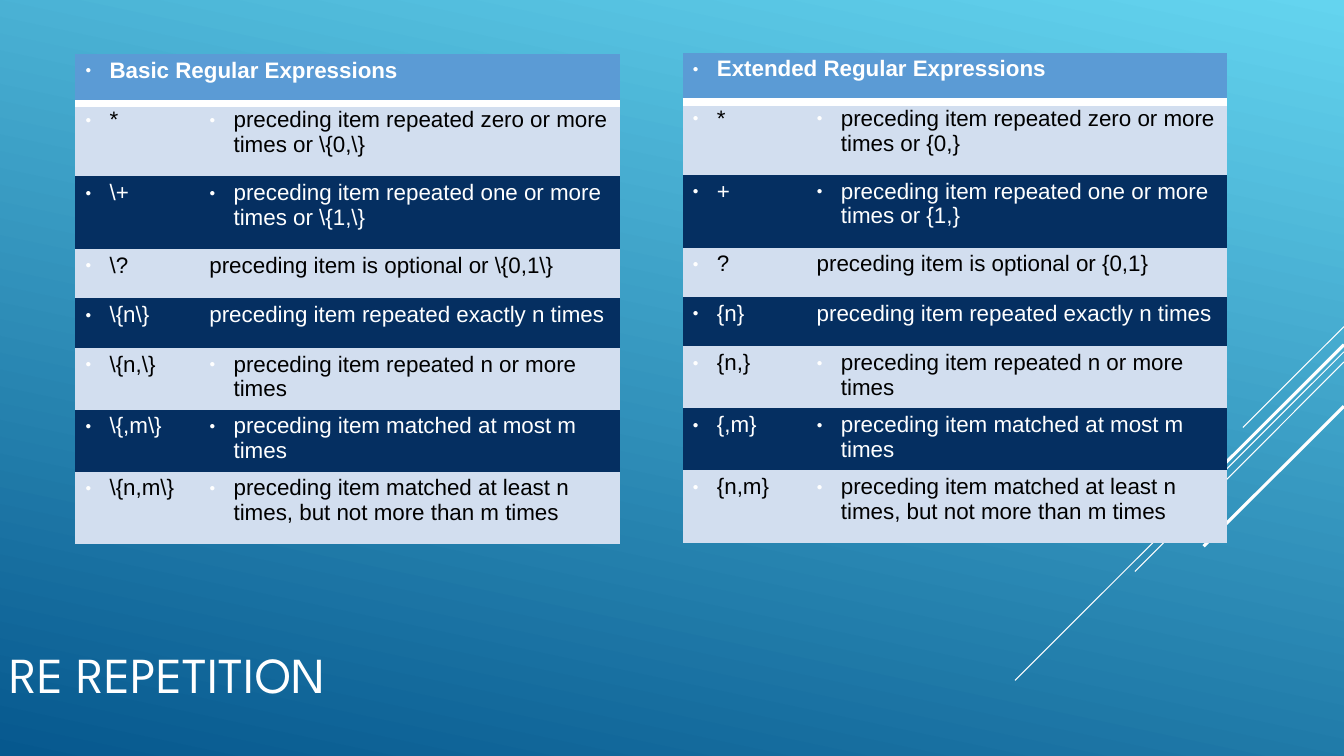
from lxml import etree
from pptx import Presentation
from pptx.dml.color import RGBColor
from pptx.enum.shapes import MSO_CONNECTOR
from pptx.enum.text import MSO_ANCHOR
from pptx.oxml import parse_xml
from pptx.oxml.ns import nsdecls, qn
from pptx.util import Pt

STRAIGHT = MSO_CONNECTOR.STRAIGHT
MIDDLE = MSO_ANCHOR.MIDDLE

WHITE = RGBColor(0xFF, 0xFF, 0xFF)
BLACK = RGBColor(0x00, 0x00, 0x00)
SKY = RGBColor(0x64, 0xD4, 0xEF)
DEEP = RGBColor(0x06, 0x58, 0x8E)
HEADER = RGBColor(0x5B, 0x9B, 0xD5)
PALE = RGBColor(0xD2, 0xDE, 0xEF)
NAVY = RGBColor(0x05, 0x2F, 0x61)

NO_STYLE = "{2D5ABB26-0587-4C30-8999-92F81FD0307C}"
WIDTH, HEIGHT = 960, 540
COLUMNS = (88.6, 300.2)
SHORT, TALL = 35.3, 52
ROW_HEIGHTS = (SHORT, TALL, TALL, SHORT, SHORT, SHORT, SHORT, TALL)

BASIC = [
    (r"*", r"preceding item repeated zero or more times or \{0,\}"),
    (r"\+", r"preceding item repeated one or more times or \{1,\}"),
    (r"\?", r"preceding item is optional or \{0,1\}"),
    (r"\{n\}", "preceding item repeated exactly n times"),
    (r"\{n,\}", "preceding item repeated n or more times"),
    (r"\{,m\}", "preceding item matched at most m times"),
    (r"\{n,m\}", "preceding item matched at least n times, but not more than m times"),
]
# Extended syntax is the basic one without backslashes
EXTENDED = [tuple(text.replace("\\", "") for text in row) for row in BASIC]
UNBULLETED_ROWS = (3, 4)

# (x of the lower end, y of the lower end, y at the right edge, line width)
RAYS = [
    (887.8, 305.3, 233.3, 0.75),
    (725, 486, 251.3, 0.75),
    (810.7, 408.2, 258.5, 0.75),
    (822.2, 383.8, 246.2, 2.25),
    (859.7, 390.2, 290.2, 2.25),
]


def add_bullet(p):
    pPr = p._p.get_or_add_pPr()
    pPr.set("marL", str(Pt(17.3)))
    pPr.set("indent", str(-Pt(17.3)))
    color = etree.SubElement(pPr, qn("a:buClr"))
    etree.SubElement(color, qn("a:srgbClr")).set("val", str(WHITE))
    etree.SubElement(pPr, qn("a:buSzPct")).set("val", "45000")
    etree.SubElement(pPr, qn("a:buFont")).set("typeface", "Arial")
    etree.SubElement(pPr, qn("a:buChar")).set("char", "●")


def write(tf, text, font="Arial", size=16, color=WHITE, bold=False, bullet=False):
    tf.word_wrap = True
    p = tf.paragraphs[0]
    if bullet:
        add_bullet(p)
    r = p.add_run()
    r.text = text
    r.font.name = font
    r.font.size = Pt(size)
    r.font.bold = bold
    r.font.color.rgb = color


class Deck:
    def __init__(self):
        self.prs = Presentation()
        self.prs.slide_width, self.prs.slide_height = Pt(WIDTH), Pt(HEIGHT)
        self.s = self.prs.slides.add_slide(self.prs.slide_layouts[6])

    def background(self, start, end, angle):
        fill = self.s.background.fill
        fill.gradient()
        fill.gradient_angle = angle
        for stop, color in zip(fill.gradient_stops, (start, end)):
            stop.color.rgb = color

    def line(self, x1, y1, x2, y2, width):
        sp = self.s.shapes.add_connector(STRAIGHT, Pt(x1), Pt(y1), Pt(x2), Pt(y2))
        sp.line.color.rgb = WHITE
        sp.line.width = Pt(width)
        etree.SubElement(sp._element.spPr, qn("a:effectLst"))

    def title(self, text, x, y, w, h):
        sp = self.s.shapes.add_textbox(Pt(x), Pt(y), Pt(w), Pt(h))
        write(sp.text_frame, text, font="League Spartan", size=36)
        sp.text_frame.vertical_anchor = MIDDLE

    def cell(self, cell, text, fill, **text_format):
        cell.margin_top = cell.margin_bottom = Pt(2.9)
        cell.fill.solid()
        cell.fill.fore_color.rgb = fill
        write(cell.text_frame, text, **text_format)

    def underline(self, cell, width):
        border = parse_xml(
            f'<a:lnB {nsdecls("a")} w="{Pt(width)}"><a:solidFill>'
            f'<a:srgbClr val="{WHITE}"/></a:solidFill></a:lnB>')
        cell._tc.get_or_add_tcPr().insert(0, border)

    def table(self, heading, rows, x, y):
        frame = self.s.shapes.add_table(
            len(ROW_HEIGHTS), len(COLUMNS), Pt(x), Pt(y),
            Pt(sum(COLUMNS)), Pt(sum(ROW_HEIGHTS)))
        table = frame.table
        table._tbl.tblPr.find(qn("a:tableStyleId")).text = NO_STYLE
        for column, width in zip(table.columns, COLUMNS):
            column.width = Pt(width)
        for row, height in zip(table.rows, ROW_HEIGHTS):
            row.height = Pt(height)

        table.cell(0, 0).merge(table.cell(0, 1))
        self.cell(table.cell(0, 0), heading, HEADER, bold=True, bullet=True)
        for c in range(len(COLUMNS)):
            self.underline(table.cell(0, c), 6)
        for i, row in enumerate(rows, 1):
            fill, color = (PALE, BLACK) if i % 2 else (NAVY, WHITE)
            for c, text in enumerate(row):
                bullet = c == 0 or i not in UNBULLETED_ROWS
                self.cell(table.cell(i, c), text, fill, color=color, bullet=bullet)


def main():
    deck = Deck()
    deck.background(SKY, DEEP, 258)
    for x, y, edge_y, width in RAYS:
        deck.line(WIDTH, edge_y, x, y, width)
    deck.title("RE REPETITION", 0, 421.2, 672, 118.8)
    deck.table("Basic Regular Expressions", BASIC, 53.8, 38.6)
    deck.table("Extended Regular Expressions", EXTENDED, 487.6, 37.6)
    deck.prs.save("out.pptx")


if __name__ == "__main__":
    main()
